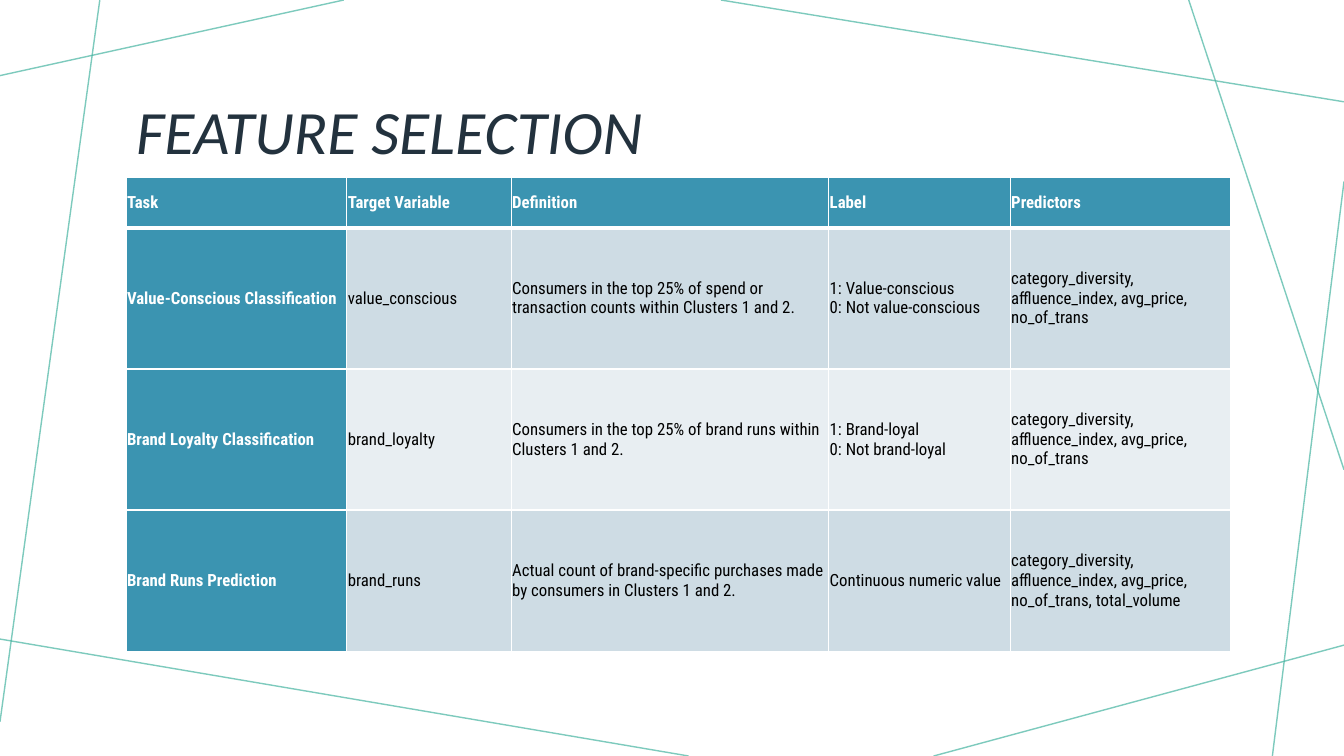
from dataclasses import dataclass
from lxml import etree
from pptx import Presentation
from pptx.dml.color import RGBColor
from pptx.enum import shapes, text
from pptx.oxml import parse_xml
from pptx.oxml.ns import nsdecls, qn
from pptx.util import Pt

PX = 9144  # 100 px to the inch


@dataclass(frozen=True)
class Theme:
    rule: str = "46B4A1"
    title: str = "23323E"
    head: str = "3B94B1"
    odd: str = "CEDCE4"
    even: str = "E8EEF2"
    white: str = "FFFFFF"
    black: str = "000000"
    title_font: str = "Calibri"
    table_font: str = "Roboto Condensed"
    title_size: int = 44
    table_size: int = 12


THEME = Theme()

RULES = [
    (341, 0, 0, 75), (99, 0, 0, 716), (683, 750, 0, 634),
    (1333, 640, 926, 750), (1333, 180, 1262, 750),
    (1333, 466, 1179, 0), (1333, 101, 715, 0),
]
COLS = [219, 163, 315, 180, 219]
ROWS = [50, 140, 140, 140]
BASE = "category_diversity, affluence_index, avg_price, no_of_trans"
CELLS = [
    ["Task", "Target Variable", "Definition", "Label", "Predictors"],
    ["Value-Conscious Classification", "value_conscious",
     "Consumers in the top 25% of spend or transaction counts within Clusters 1 and 2.",
     "1: Value-conscious\n0: Not value-conscious", BASE],
    ["Brand Loyalty Classification", "brand_loyalty",
     "Consumers in the top 25% of brand runs within Clusters 1 and 2.",
     "1: Brand-loyal\n0: Not brand-loyal", BASE],
    ["Brand Runs Prediction", "brand_runs",
     "Actual count of brand-specific purchases made by consumers in Clusters 1 and 2.",
     "Continuous numeric value", BASE + ", total_volume"],
]
SHORT = 30  # longest label that is justified on one line


def scale(*sizes):
    return [size * PX for size in sizes]


def rgb(code):
    return RGBColor.from_string(code)


def style(para, font, size, color, bold=None, italic=None):
    for run in para.runs:
        face = run.font
        face.name, face.size = font, Pt(size)
        face.bold, face.italic = bold, italic
        face.color.rgb = rgb(color)


def add_rules(slide, box):
    left, top = box
    for x1, y1, x2, y2 in RULES:
        ends = scale(left + x1, top + y1, left + x2, top + y2)
        rule = slide.shapes.add_connector(shapes.MSO_CONNECTOR.STRAIGHT, *ends)
        rule.line.width = Pt(1)
        rule.line.color.rgb = rgb(THEME.rule)
        props = rule._element.spPr
        tint = props.find(".//" + qn("a:srgbClr"))
        etree.SubElement(tint, qn("a:alpha")).set("val", "70000")
        etree.SubElement(props, qn("a:effectLst"))


def add_title(slide, box):
    title = slide.shapes.title
    title.left, title.top, title.width, title.height = scale(*box)
    frame = title.text_frame
    frame.text = "FEATURE SELECTION"
    frame.word_wrap = True
    frame.vertical_anchor = text.MSO_ANCHOR.MIDDLE
    para = frame.paragraphs[0]
    para.alignment = text.PP_ALIGN.LEFT
    para.line_spacing = 0.9
    style(para, THEME.title_font, THEME.title_size, THEME.title, italic=True)


def add_edges(cell, row):
    """Draw white cell borders, with a thick one under the header."""
    thick = {0: "lnB", 1: "lnT"}.get(row)
    props = cell._tc.get_or_add_tcPr()
    for spot, side in enumerate(("lnL", "lnR", "lnT", "lnB")):
        width = Pt(3 if side == thick else 1)
        props.insert(spot, parse_xml(
            f'<a:{side} {nsdecls("a")} w="{width}"><a:solidFill>'
            f'<a:srgbClr val="{THEME.white}"/></a:solidFill></a:{side}>'))


def fill_cell(cell, words, row, col):
    head = row == 0 or col == 0
    band = THEME.odd if row % 2 else THEME.even
    cell.fill.solid()
    cell.fill.fore_color.rgb = rgb(THEME.head if head else band)
    cell.margin_left = cell.margin_right = PX
    cell.margin_top = cell.margin_bottom = PX
    cell.vertical_anchor = text.MSO_ANCHOR.MIDDLE
    cell.text_frame.text = words
    single = len(words) <= SHORT and "\n" not in words
    for para in cell.text_frame.paragraphs:
        para.alignment = text.PP_ALIGN.JUSTIFY if single else text.PP_ALIGN.LEFT
        style(para, THEME.table_font, THEME.table_size,
              THEME.white if head else THEME.black, bold=head)
    add_edges(cell, row)


def add_grid(slide, box):
    left, top = box
    frame = slide.shapes.add_table(
        len(ROWS), len(COLS), *scale(left, top, sum(COLS), sum(ROWS)))
    table = frame.table
    table.first_col = True
    for col, width in zip(table.columns, COLS):
        col.width = width * PX
    for row, height in zip(table.rows, ROWS):
        row.height = height * PX
    for row, line in enumerate(CELLS):
        for col, words in enumerate(line):
            fill_cell(table.cell(row, col), words, row, col)


def main():
    deck = Presentation()
    deck.slide_width, deck.slide_height = scale(1333, 750)
    slide = deck.slides.add_slide(deck.slide_layouts[5])
    add_rules(slide, (0, 0))
    add_title(slide, (125, 58, 1083, 151))
    add_grid(slide, (125, 176))
    deck.save("out.pptx")


if __name__ == "__main__":
    main()
